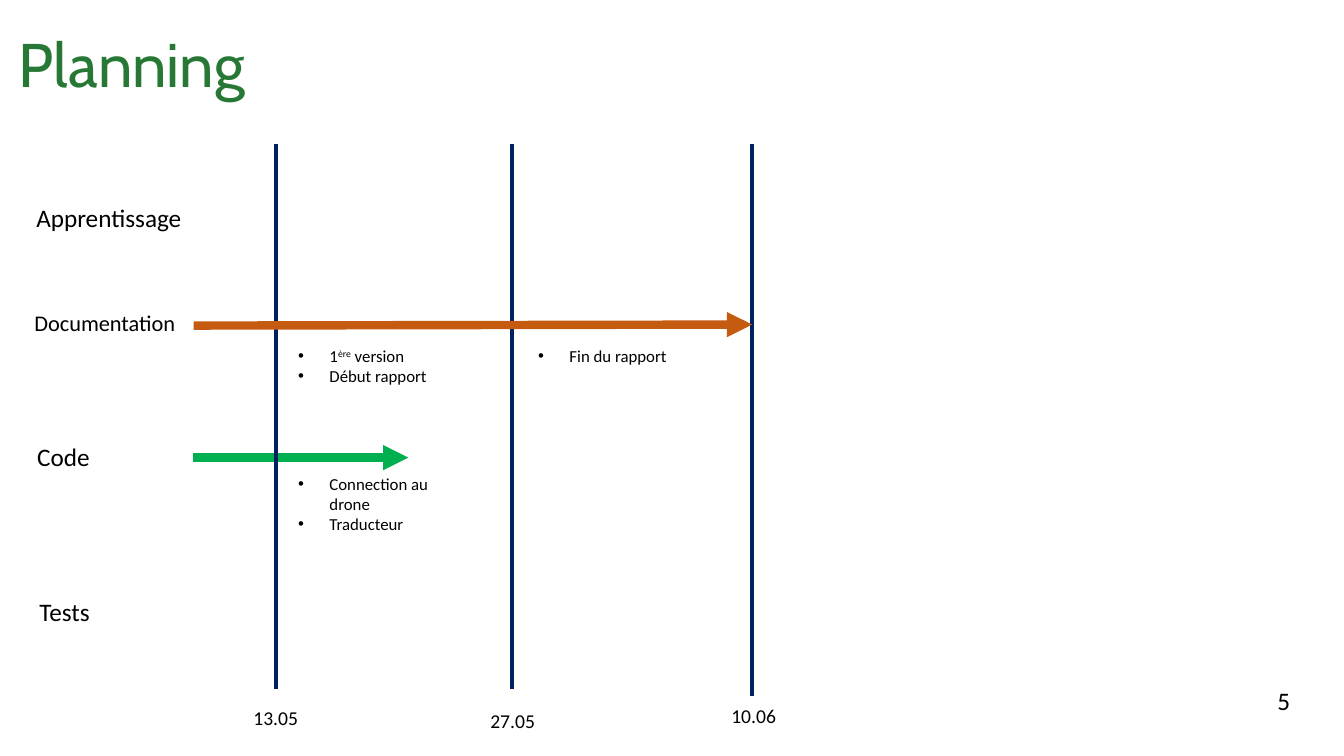
from dataclasses import dataclass

from lxml.etree import SubElement as Sub
from pptx import Presentation
from pptx.dml.color import RGBColor as Rgb
from pptx.enum.shapes import MSO_CONNECTOR as Conn
from pptx.enum.text import MSO_ANCHOR as Anchor, MSO_AUTO_SIZE as Fit, PP_ALIGN as Align
from pptx.oxml.ns import qn
from pptx.util import Inches, Pt

COLORS = {
    "title": "267834",
    "text": "000000",
    "date": "002060",
    "code": "00B050",
    "doc": "C55A11",
}
BODY = "Calibri"
HANG = 0.31
LINE_TOP = 1.43


@dataclass
class Label:
    text: str
    left: float
    top: float
    width: float
    height: float
    size: int = 18


@dataclass
class Line:
    start: tuple[float, float]
    end: tuple[float, float]
    color: str
    width: float
    arrow: bool = False


@dataclass
class Notes:
    """Bulleted items; each is a list of (text, raised) runs."""
    left: float
    top: float
    height: float
    items: list[list[tuple[str, bool]]]


ROWS = [
    Label("Apprentissage", 0.25, 1.96, 1.66, 0.4),
    Label("Documentation", 0.21, 3.02, 1.66, 0.37, 16),
    Label("Code", -0.2, 4.33, 1.66, 0.4),
    Label("Tests", -0.19, 5.87, 1.66, 0.4),
]
DATES = [
    Label("13.05", 1.83, 6.95, 1.81, 0.64, 14),
    Label("27.05", 4.18, 6.98, 1.81, 0.64, 14),
    Label("10.06", 6.57, 6.93, 1.81, 0.64, 14),
]
MARKS = [(2.74, 6.84), (5.08, 6.84), (7.46, 6.9)]
LINES = [
    Line((1.91, 4.54), (4.05, 4.54), "code", 6, True),
    *(Line((x, LINE_TOP), (x, end), "date", 3) for x, end in MARKS),
    Line((1.92, 3.23), (7.46, 3.22), "doc", 6, True),
]
NOTES = [
    Notes(2.86, 4.65, 0.91, [[("Connection au drone", False)], [("Traducteur", False)]]),
    Notes(2.86, 3.38, 0.71, [
        [("1", False), ("ère", True), (" version", False)],
        [("Début rapport", False)],
    ]),
    Notes(5.24, 3.38, 0.5, [[("Fin du rapport", False)]]),
]


def add_frame(slide, left: float, top: float, width: float, height: float,
              wrap: bool = True, fit: Fit = Fit.SHAPE_TO_FIT_TEXT):
    box = slide.shapes.add_textbox(*map(Inches, (left, top, width, height)))
    frame = box.text_frame
    frame.word_wrap = wrap
    frame.auto_size = fit
    return frame


def add_run(para, text: str, size: int, font: str = BODY, color: str = "text"):
    run = para.add_run()
    run.text = text
    run.font.size = Pt(size)
    run.font.name = font
    run.font.color.rgb = Rgb.from_string(COLORS[color])
    return run


def add_label(slide, label: Label) -> None:
    frame = add_frame(slide, label.left, label.top, label.width, label.height)
    para = frame.paragraphs[0]
    para.alignment = Align.CENTER
    add_run(para, label.text, label.size)


def add_line(slide, line: Line) -> None:
    points = map(Inches, (*line.start, *line.end))
    conn = slide.shapes.add_connector(Conn.STRAIGHT, *points)
    conn.line.color.rgb = Rgb.from_string(COLORS[line.color])
    conn.line.width = Pt(line.width)
    if line.arrow:
        Sub(conn.line._get_or_add_ln(), qn("a:tailEnd"), type="triangle")
    Sub(conn._element.spPr, qn("a:effectLst"))


def add_notes(slide, notes: Notes) -> None:
    frame = add_frame(slide, notes.left, notes.top, 1.77, notes.height)
    for i, item in enumerate(notes.items):
        para = frame.add_paragraph() if i else frame.paragraphs[0]
        props = para._p.get_or_add_pPr()
        props.set("marL", str(Inches(HANG)))
        props.set("indent", str(-Inches(HANG)))
        Sub(props, qn("a:buFont"), typeface="Arial")
        Sub(props, qn("a:buChar"), char="•")
        for text, raised in item:
            run = add_run(para, text, 12)
            if raised:
                run._r.get_or_add_rPr().set("baseline", "30000")


def add_title(slide) -> None:
    frame = add_frame(slide, 0.09, -0.06, 11.5, 1.45, fit=Fit.NONE)
    frame.vertical_anchor = Anchor.MIDDLE
    para = frame.paragraphs[0]
    para.line_spacing = 0.9
    add_run(para, "Planning", 44, "Cabin", "title")


def main() -> None:
    deck = Presentation()
    deck.slide_width, deck.slide_height = Inches(13.33), Inches(7.5)
    slide = deck.slides.add_slide(deck.slide_layouts[6])
    add_title(slide)
    for line in LINES:
        add_line(slide, line)
    for label in ROWS + DATES:
        add_label(slide, label)
    for notes in NOTES:
        add_notes(slide, notes)
    page = add_frame(slide, 12.57, 6.75, 0.33, 0.4, wrap=False)
    add_run(page.paragraphs[0], "5", 18)
    deck.save("out.pptx")


if __name__ == "__main__":
    main()
